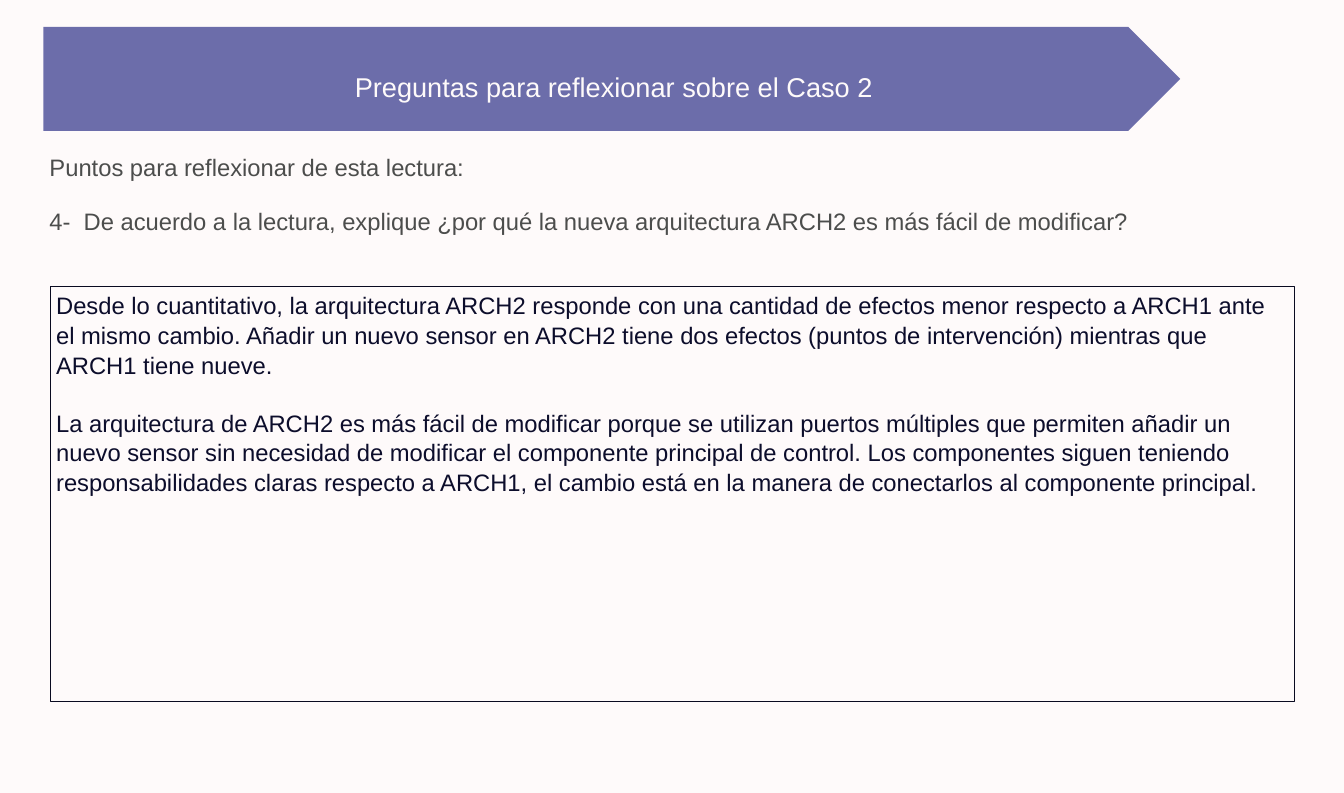
from pptx import Presentation
from pptx.dml.color import RGBColor
from pptx.enum.shapes import MSO_SHAPE
from pptx.enum.text import MSO_ANCHOR, PP_ALIGN
from pptx.oxml.ns import qn
from pptx.util import Inches, Pt
from lxml import etree

COLORS = {
    "background": "FEFAFA",
    "banner": "252884",
    "question": "4C4D4C",
    "answer": "0C0D2B",
    "border": "090A20",
}
ANSWERS = [
    "Desde lo cuantitativo, la arquitectura ARCH2 responde con una cantidad de "
    "efectos menor respecto a ARCH1 ante el mismo cambio. Añadir un nuevo sensor "
    "en ARCH2 tiene dos efectos (puntos de intervención) mientras que ARCH1 tiene "
    "nueve.",
    "La arquitectura de ARCH2 es más fácil de modificar porque se utilizan puertos "
    "múltiples que permiten añadir un nuevo sensor sin necesidad de modificar el "
    "componente principal de control. Los componentes siguen teniendo "
    "responsabilidades claras respecto a ARCH1, el cambio está en la manera de "
    "conectarlos al componente principal.",
]


def color(name):
    return RGBColor.from_string(COLORS[name])


def write(paragraph, text, color_name, size=28, alignment=PP_ALIGN.LEFT, spacing=None):
    paragraph.alignment = alignment
    paragraph.line_spacing = spacing
    run = paragraph.add_run()
    run.text = text
    run.font.name = "Arial"
    run.font.size = Pt(size)
    run.font.color.rgb = color(color_name)


def prepare_frame(shape, anchor):
    frame = shape.text_frame
    frame.word_wrap = True
    frame.vertical_anchor = anchor
    return frame


def add_banner(slide, text):
    banner = slide.shapes.add_shape(
        MSO_SHAPE.PENTAGON, Inches(0.71), Inches(0.44), Inches(18.6), Inches(1.7)
    )
    banner.shadow.inherit = False
    banner.fill.solid()
    banner.fill.fore_color.rgb = color("banner")
    fill_color = banner.fill._xPr.find(qn("a:solidFill"))[0]
    etree.SubElement(fill_color, qn("a:alpha")).set("val", "67000")
    banner.line.fill.background()
    paragraph = prepare_frame(banner, MSO_ANCHOR.MIDDLE).paragraphs[0]
    write(paragraph, text, "background", 32, PP_ALIGN.CENTER, 1.5)
    paragraph.space_before = Pt(6)
    properties = paragraph._p.get_or_add_pPr()
    properties.set("marL", str(Inches(0.5)))
    properties.set("indent", "0")


def set_title(slide, text):
    title = slide.shapes.title
    title.left, title.top = Inches(0.71), Inches(2.37)
    title.width, title.height = Inches(12.58), Inches(0.78)
    frame = prepare_frame(title, MSO_ANCHOR.MIDDLE)
    write(frame.paragraphs[0], text, "question", spacing=0.9)


def add_question(slide, text):
    question = slide.shapes.add_textbox(
        Inches(0.71), Inches(3.15), Inches(19.97), Inches(1)
    )
    frame = prepare_frame(question, MSO_ANCHOR.MIDDLE)
    write(frame.paragraphs[0], text, "question", spacing=0.9)


def add_answer_box(slide, answers):
    box = slide.shapes.add_shape(
        MSO_SHAPE.RECTANGLE, Inches(0.82), Inches(4.69), Inches(20.36), Inches(6.79)
    )
    box.shadow.inherit = False
    box.fill.background()
    box.line.color.rgb = color("border")
    box.line.width = Pt(1)
    frame = prepare_frame(box, MSO_ANCHOR.TOP)
    for index, answer in enumerate(answers):
        paragraph = frame.add_paragraph() if index else frame.paragraphs[0]
        write(paragraph, answer, "answer", spacing=1.04)
        paragraph.space_before = Pt(33.5 if index else 0)


def main():
    presentation = Presentation()
    presentation.slide_width = Inches(21.99)
    presentation.slide_height = Inches(12.97)
    slide = presentation.slides.add_slide(presentation.slide_layouts[5])
    slide.background.fill.solid()
    slide.background.fill.fore_color.rgb = color("background")
    add_banner(slide, "Preguntas para reflexionar sobre el Caso 2")
    set_title(slide, "Puntos para reflexionar de esta lectura:")
    add_question(
        slide,
        "4-\u00a0 De acuerdo a la lectura, explique ¿por qué la nueva arquitectura "
        "ARCH2 es más fácil de modificar?".replace("\u00a0", chr(160)),
    )
    add_answer_box(slide, ANSWERS)
    presentation.save("out.pptx")


if __name__ == "__main__":
    main()
